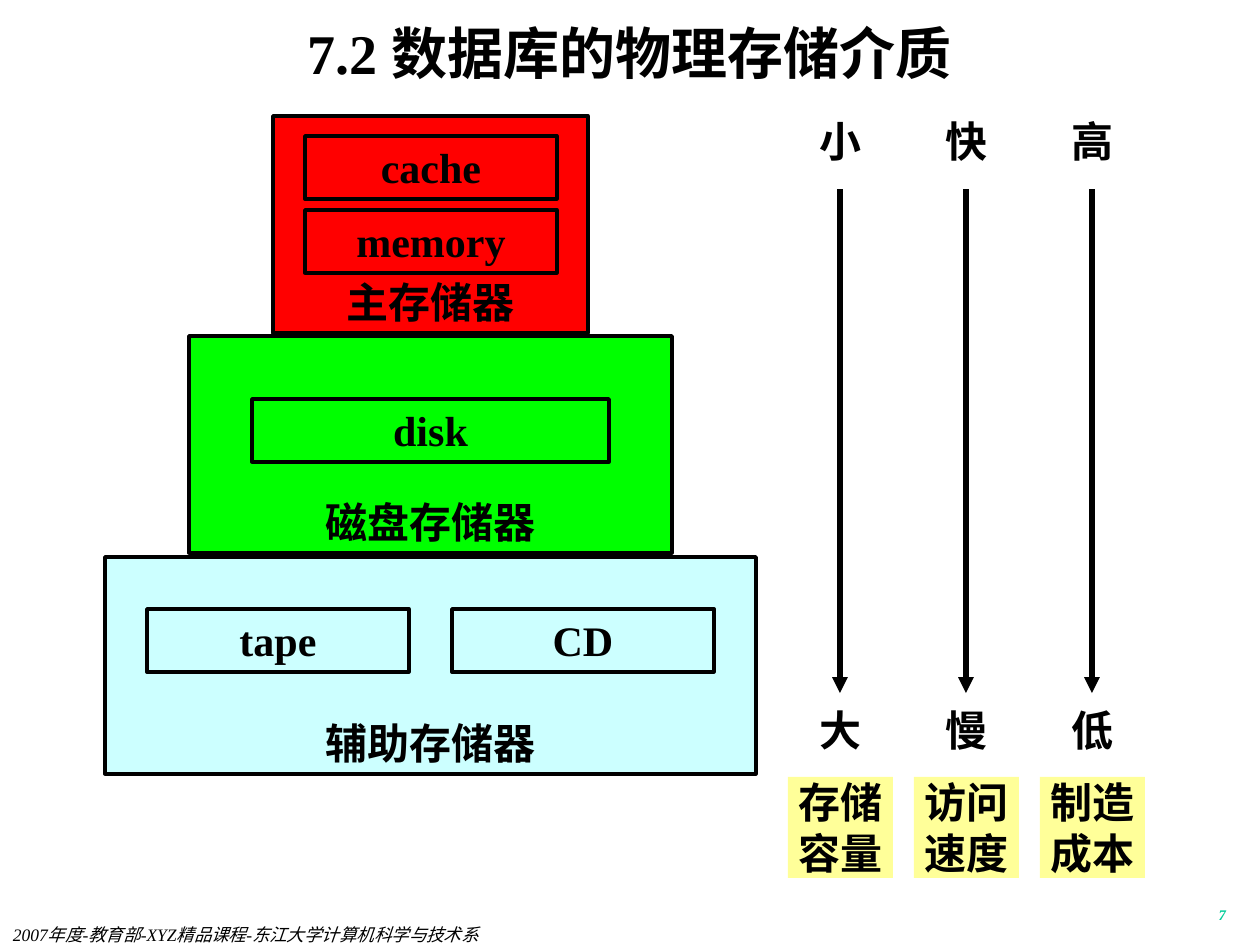
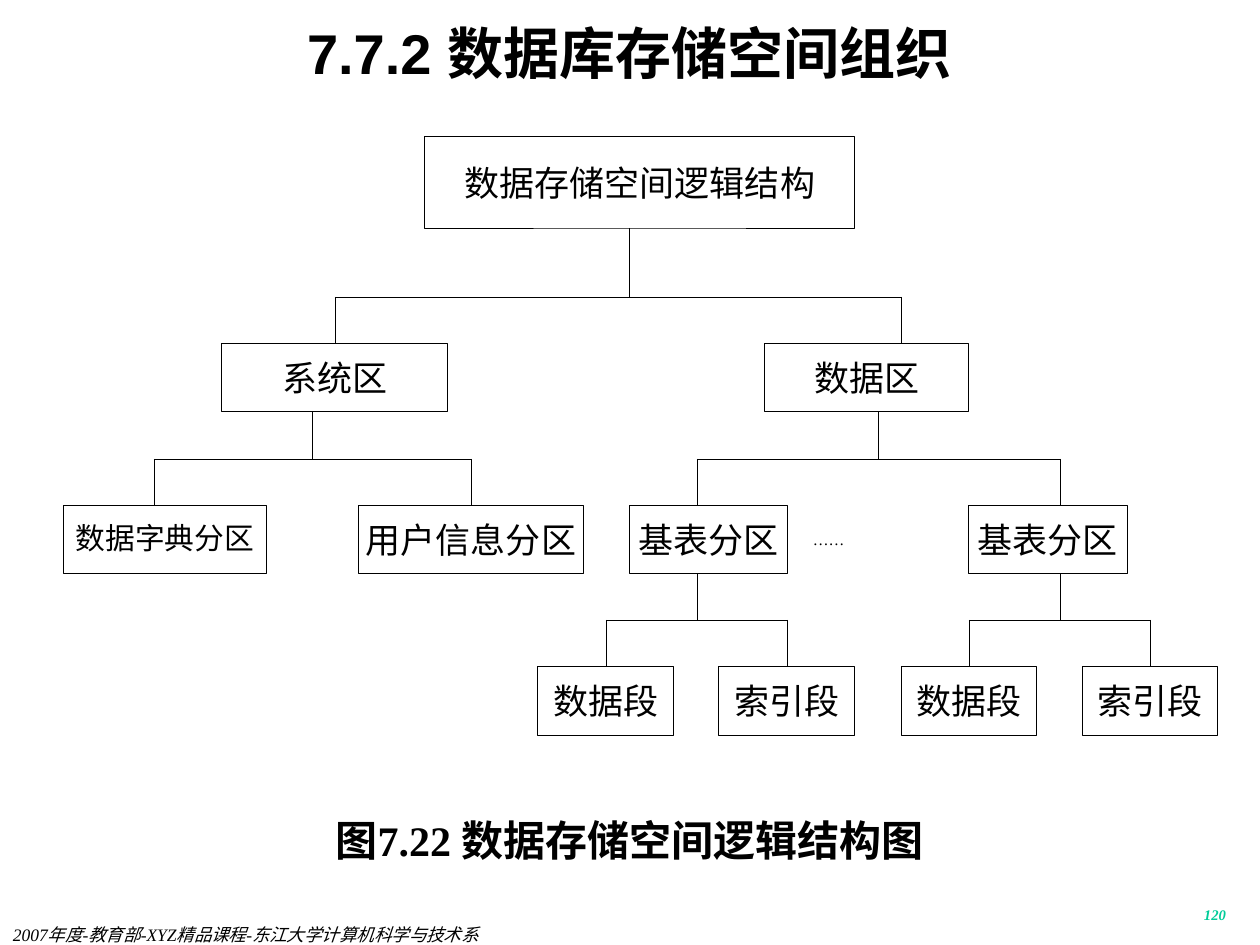
"""Build two slides on database storage: the media hierarchy and the logical space tree."""
from lxml import etree
from pptx import Presentation
from pptx.dml.color import RGBColor
from pptx.enum.shapes import MSO_CONNECTOR, MSO_SHAPE
from pptx.enum.text import MSO_ANCHOR, PP_ALIGN
from pptx.oxml.ns import qn

BLACK = RGBColor(0x00, 0x00, 0x00)
WHITE = RGBColor(0xFF, 0xFF, 0xFF)
RED = RGBColor(0xFF, 0x00, 0x00)
GREEN = RGBColor(0x00, 0xFF, 0x00)
CYAN = RGBColor(0xCC, 0xFF, 0xFF)
YELLOW = RGBColor(0xFF, 0xFF, 0x99)
TEAL = RGBColor(0x00, 0xCC, 0x99)

RECT = MSO_SHAPE.RECTANGLE
STRAIGHT = MSO_CONNECTOR.STRAIGHT
LEFT, CENTER, RIGHT = PP_ALIGN.LEFT, PP_ALIGN.CENTER, PP_ALIGN.RIGHT
TOP, MIDDLE, BOTTOM = MSO_ANCHOR.TOP, MSO_ANCHOR.MIDDLE, MSO_ANCHOR.BOTTOM

SERIF, SANS = "Times New Roman", "Arial"
FOOTER = "2007年度-教育部-XYZ精品课程-东江大学计算机科学与技术系"
BOLD = dict(size=24, bold=True)
PLAIN = dict(size=20, inset=(3, 0), anchor=MIDDLE)


def px(n):
    """Turn px at 126 to the inch into EMU."""
    return round(n * 914400 / 126)


def pt(n):
    """Turn points into EMU."""
    return round(n * 12700)


class Deck:
    """Hold the shared style and the current slide."""

    def __init__(self):
        self.prs = Presentation()
        self.prs.slide_width, self.prs.slide_height = px(1260), px(945)
        self.shapes = None

    def slide(self, title, number, font=SERIF):
        """Start a slide with its title, page number and footer."""
        s = self.prs.slides.add_slide(self.prs.slide_layouts[5])
        self.shapes = s.shapes
        self.text((977, 903, 262, 32), number, size=8.4, bold=True, italic=True,
                  color=TEAL, align=RIGHT, spacing=0.8)
        self.text((0, 924, 693, 21), FOOTER, size=10, italic=True,
                  inset=(13, 0), align=LEFT)
        sp = s.shapes.title
        place = dict(left=94, top=21, width=1071, height=63)
        for name, value in place.items():
            setattr(sp, name, px(value))
        self.fill_text(sp, title, size=32, bold=True, name=font,
                       inset=(13, 0), anchor=MIDDLE)

    def fill_text(self, sp, text, inset=(13, 6), anchor=TOP, align=CENTER,
                  spacing=1.0, color=BLACK, size=24, **font):
        """Put one formatted paragraph into a shape."""
        tf = sp.text_frame
        side, edge = map(px, inset)
        frame = dict(word_wrap=True, vertical_anchor=anchor, margin_left=side,
                     margin_right=side, margin_top=edge, margin_bottom=edge)
        for name, value in frame.items():
            setattr(tf, name, value)
        p = tf.paragraphs[0]
        p.alignment, p.line_spacing = align, spacing
        r = p.add_run()
        r.text = text
        for name, value in {"name": SERIF, "size": pt(size), **font}.items():
            setattr(r.font, name, value)
        r.font.color.rgb = color

    def text(self, box, text, **fmt):
        """Add a text box."""
        sp = self.shapes.add_textbox(*map(px, box))
        self.fill_text(sp, text, **fmt)

    def rect(self, box, text, fill=None, line=None, **fmt):
        """Add a rectangle with text; without a fill or line width it has none."""
        sp = self.shapes.add_shape(RECT, *map(px, box))
        sp.shadow.inherit = False
        if fill is None:
            sp.fill.background()
        else:
            sp.fill.solid()
            sp.fill.fore_color.rgb = fill
        if line is None:
            sp.line.fill.background()
        else:
            sp.line.color.rgb = BLACK
            sp.line.width = pt(line)
        self.fill_text(sp, text, **fmt)
        return sp

    def line(self, x1, y1, x2, y2, width=0.5, arrow=False):
        """Add a straight line, with an arrowhead at its end if asked."""
        c = self.shapes.add_connector(STRAIGHT, *map(px, (x1, y1, x2, y2)))
        c.line.color.rgb = BLACK
        c.line.width = pt(width)
        props = c.element.spPr
        if arrow:
            etree.SubElement(props.find(qn("a:ln")), qn("a:tailEnd"), type="triangle")
        etree.SubElement(props, qn("a:effectLst"))
        return c

    def tree(self, node, level=0):
        """Draw a node, the bar below it and its children; return its shape."""
        text, x, width, stem, children, *extra = node
        top, height = LEVELS[level]
        fmt = {**PLAIN, **(extra[0] if extra else {})}
        sp = self.rect((x, top, width, height), text, WHITE, 0.5, **fmt)
        if children:
            bar, below = BARS[level], LEVELS[level + 1][0]
            drops = [drop for drop, _ in children]
            self.line(stem, top + height, stem, bar)
            self.line(drops[0], bar, drops[-1], bar)
            for drop, child in children:
                kid = self.tree(child, level + 1)
                c = self.line(drop, bar, drop, below)
                if drop == child[1] + child[2] / 2:
                    c.end_connect(kid, 0)
        return sp


TIERS = [
    ("主存储器", RED, (273, 116, 315, 217)),
    ("磁盘存储器", GREEN, (189, 336, 483, 217)),
    ("辅助存储器", CYAN, (105, 557, 651, 217)),
]
MEDIA = [
    ("cache", 305, 136, 252),
    ("memory", 305, 210, 252),
    ("tape", 147, 609, 262),
    ("CD", 452, 609, 262),
    ("disk", 252, 399, 357),
]
TRENDS = [
    ("小", "大", "存储容量"),
    ("快", "慢", "访问速度"),
    ("高", "低", "制造成本"),
]

LEVELS = [(136, 92), (343, 69), (505, 69), (666, 69)]
BARS = [297, 459, 620]


def table_partition(x, stem, first):
    """Describe a table partition whose two segments start at first."""
    segments = [(left + 68, (text, left, 136, None, []))
                for text, left in (("数据段", first), ("索引段", first + 181))]
    return "基表分区", x, 159, stem, segments


SYSTEM = ("系统区", 222, 226, 312, [
    (154, ("数据字典分区", 63, 204, None, [], dict(size=17, spacing=0.9))),
    (471, ("用户信息分区", 358, 226, None, [])),
])
DATA = ("数据区", 765, 204, 878, [
    (697, table_partition(629, 697, 538)),
    (1060, table_partition(968, 1060, 901)),
])
ROOT = ("数据存储空间逻辑结构", 425, 430, 629, [(335, SYSTEM), (901, DATA)])


def media_slide(deck):
    """Draw the storage tiers and the three trends beside them."""
    deck.slide("7.2 数据库的物理存储介质", "7")
    for text, fill, box in TIERS:
        deck.rect(box, text, fill, 2, anchor=BOTTOM, **BOLD)
    for text, x, y, width in MEDIA:
        deck.rect((x, y, width, 63), text, line=2, **BOLD)
    for i, (start, end, label) in enumerate(TRENDS):
        x = 840 + 126 * i
        deck.rect((x - 52, 777, 105, 101), label, YELLOW, inset=(0, 0), **BOLD)
        deck.line(x, 189, x, 693, width=3, arrow=True)
        for text, y in ((start, 116), (end, 705)):
            deck.text((x - 31, y, 63, 50), text, inset=(0, 0), **BOLD)


def space_slide(deck):
    """Draw the tree of the logical storage space."""
    deck.slide("7.7.2 数据库存储空间组织", "120", SANS)
    deck.tree(ROOT)
    deck.text((810, 505, 136, 69), "……", **{**PLAIN, "size": 9, "align": LEFT})
    deck.text((220, 809, 819, 63), "图7.22 数据存储空间逻辑结构图", **BOLD)


def main():
    """Build and save the deck."""
    deck = Deck()
    media_slide(deck)
    space_slide(deck)
    deck.prs.save("out.pptx")


if __name__ == "__main__":
    main()
